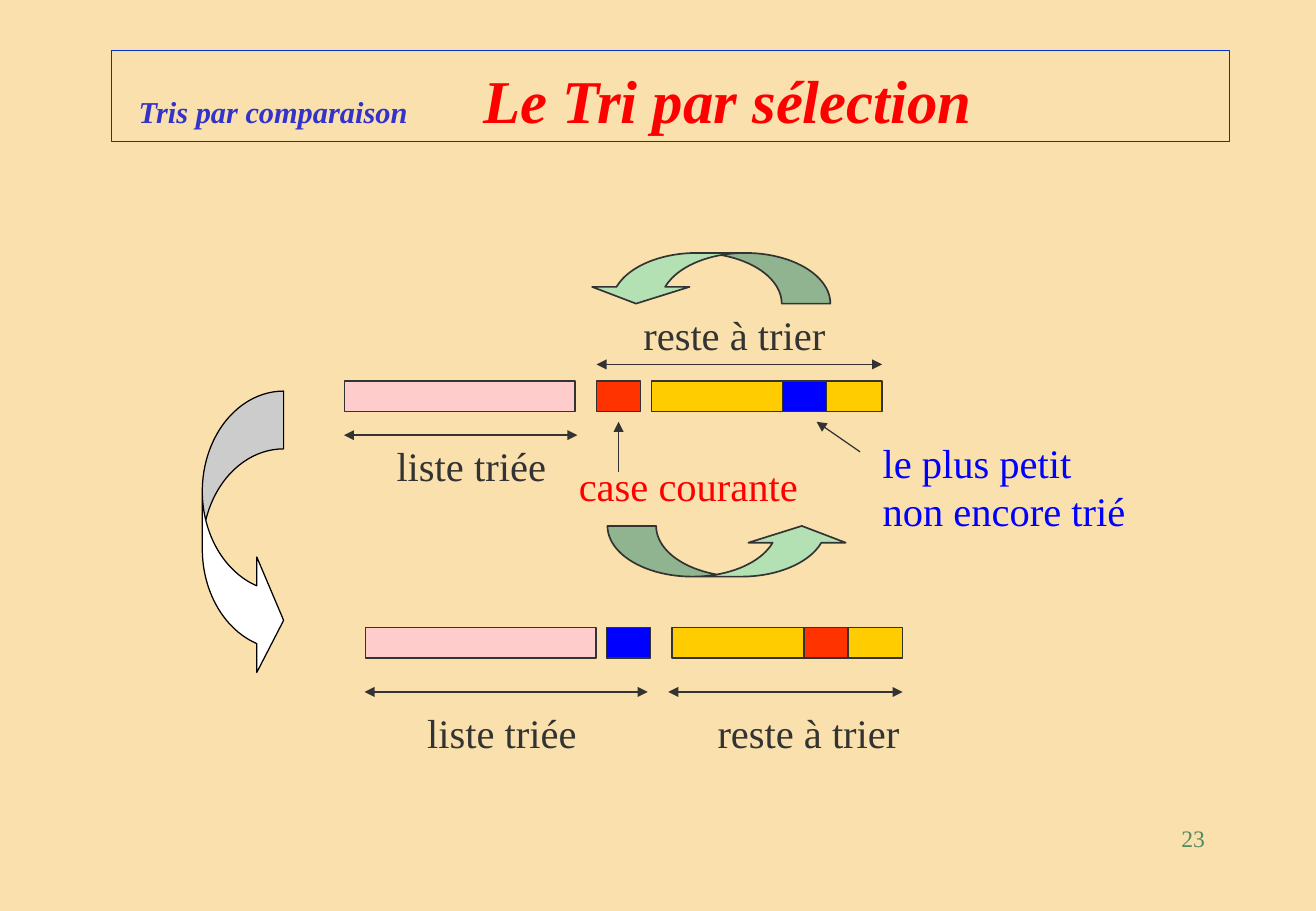
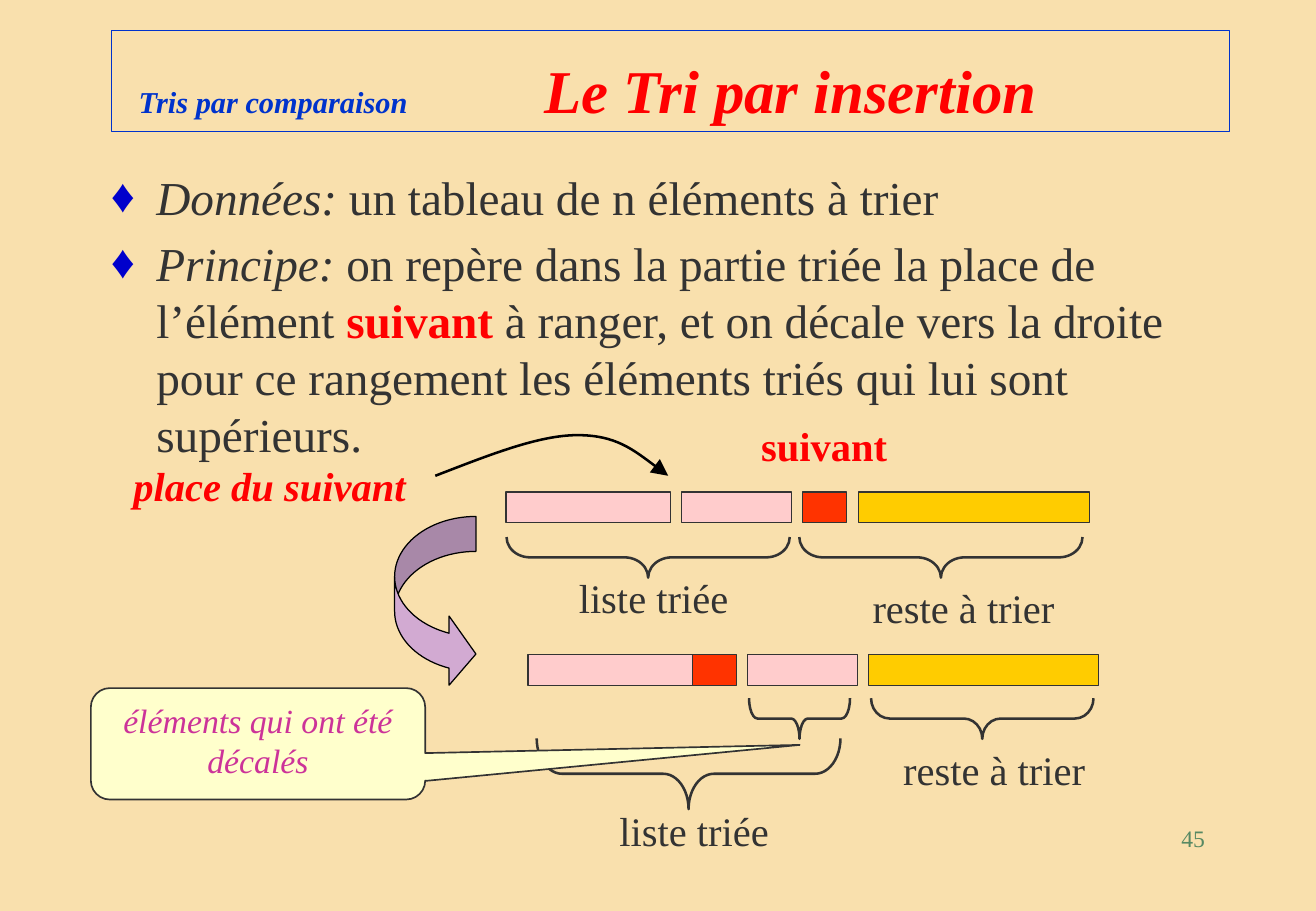
"""Two slides that explain selection sort and insertion sort."""
from lxml import etree
from pptx import Presentation
from pptx import util as u
from pptx.dml.color import RGBColor
from pptx.enum import shapes, text
from pptx.oxml import ns

FONT = "Times New Roman"
SAND = RGBColor(0xF9, 0xE0, 0xAD)
FRAME_BLUE = RGBColor(0x00, 0x33, 0xCC)
TOPIC_BLUE = RGBColor(0x33, 0x33, 0xCC)
BULLET_BLUE = RGBColor(0x00, 0x00, 0xCC)
BLUE = RGBColor(0x00, 0x00, 0xFF)
RED = RGBColor(0xFF, 0x00, 0x00)
ORANGE_RED = RGBColor(0xFF, 0x33, 0x00)
GOLD = RGBColor(0xFF, 0xCC, 0x00)
PINK = RGBColor(0xFF, 0xCC, 0xCC)
INK = RGBColor(0x33, 0x33, 0x33)
BLACK = RGBColor(0x00, 0x00, 0x00)
WHITE = RGBColor(0xFF, 0xFF, 0xFF)
GREEN = RGBColor(0xB3, 0xE1, 0xB3)
NUMBER_GREEN = RGBColor(0x57, 0x89, 0x63)
MAUVE = RGBColor(0xD2, 0xAA, 0xD2)
CREAM = RGBColor(0xFF, 0xFF, 0xCC)
MAGENTA = RGBColor(0xCC, 0x33, 0x99)

BAR_HEIGHT = 0.64
CELL, SHIFTED, SORTED_PART, LONG = 0.92, 2.3, 3.44, 4.82
SORTED_LABEL, REST_LABEL = "liste triée", "reste à trier"
LABEL_WIDTHS = {SORTED_LABEL: 3.8, REST_LABEL: 4.5}


def lengths(*values):
    """Turn centimetres into lengths."""
    return [u.Cm(value) for value in values]


def add_child(parent, tag, **attributes):
    """Append a DrawingML element and return it."""
    return etree.SubElement(parent, ns.qn(tag), attributes)


def style_run(run, size, colour, bold=False, italic=False):
    """Format one run."""
    run.font.name = FONT
    run.font.size = u.Pt(size)
    run.font.color.rgb = colour
    run.font.bold = bold
    run.font.italic = italic


def add_run(paragraph, content, size, colour, bold=False, italic=False):
    """Add a formatted run to a paragraph."""
    run = paragraph.add_run()
    run.text = content
    style_run(run, size, colour, bold, italic)


def style_shape(shape, fill, line, width):
    """Set fill and outline, and take the shadow away."""
    shape.shadow.inherit = False
    if fill is None:
        shape.fill.background()
    else:
        shape.fill.solid()
        shape.fill.fore_color.rgb = fill
    shape.line.color.rgb = line
    shape.line.width = u.Pt(width)


def add_preset(slide, kind, place, fill, line=INK, width=0.75, adjustments=()):
    """Add a preset shape at a place in centimetres."""
    shape = slide.shapes.add_shape(kind, *lengths(*place))
    style_shape(shape, fill, line, width)
    for index, value in enumerate(adjustments):
        shape.adjustments[index] = value
    return shape


def add_bars(slide, top, bars):
    """Draw one row of list parts given as left, width and fill."""
    for left, width, fill in bars:
        add_preset(slide, shapes.MSO_SHAPE.RECTANGLE, (left, top, width, BAR_HEIGHT), fill)


def add_label(slide, content, left, top, width=None, colour=INK, size=24,
              bold=False, italic=False, align=text.PP_ALIGN.LEFT):
    """Add a text box, one paragraph to a line."""
    box = slide.shapes.add_textbox(*lengths(left, top, width or LABEL_WIDTHS[content], 1.27))
    box.text_frame.word_wrap = False
    box.text_frame.text = content
    for paragraph in box.text_frame.paragraphs:
        paragraph.alignment = align
        for run in paragraph.runs:
            style_run(run, size, colour, bold, italic)


def add_line(slide, start, end, width=0.75, ends=()):
    """Add a straight line with arrowheads at the named ends."""
    line = slide.shapes.add_connector(shapes.MSO_CONNECTOR.STRAIGHT, *lengths(*start, *end))
    line.line.color.rgb = INK
    line.line.width = u.Pt(width)
    for end_name in ends:
        add_child(line.line._get_or_add_ln(), end_name, type="triangle")
    add_child(line._element.spPr, "a:effectLst")


def add_span(slide, left, right, y):
    """Add a horizontal arrow with two heads."""
    add_line(slide, (left, y), (right, y), 1, ("a:headEnd", "a:tailEnd"))


def add_brace(slide, left, top, span, depth=0.85):
    """Add a brace that opens upwards over a span."""
    place = (left + (span - depth) / 2, top - (span - depth) / 2, depth, span)
    brace = add_preset(slide, shapes.MSO_SHAPE.LEFT_BRACE, place, None, INK, 1.5,
                       (span / depth / 12, 0.5))
    brace.rotation = 270


def add_swap_arrow(slide, left, top, flip):
    """Add a green curved arrow flipped along one axis."""
    arrow = add_preset(slide, shapes.MSO_SHAPE.CURVED_DOWN_ARROW, (left, top, 5.08, 1.06),
                       GREEN, INK, 1, (0.96, 1.92, 0.33))
    arrow._element.spPr.xfrm.set(flip, "1")


def add_curve(slide, points):
    """Add an arrow along cubic curves, three points to a curve."""
    start, *others = [lengths(*point) for point in points]
    builder = slide.shapes.build_freeform(*start)
    builder.add_line_segments(others, close=False)
    curve = builder.convert_to_shape()
    style_shape(curve, None, BLACK, 1.5)
    add_child(curve.line._get_or_add_ln(), "a:tailEnd", type="triangle", w="lg", len="lg")
    segments = list(curve._element.iter(ns.qn("a:lnTo")))
    for first in range(0, len(segments), 3):
        bezier = add_child(segments[first].getparent(), "a:cubicBezTo")
        for segment in segments[first:first + 3]:
            bezier.append(segment[0])
            segment.getparent().remove(segment)


def add_titled_slide(presentation, title, number, top, height, tab, topic_colour):
    """Add a slide with its framed title and page number."""
    slide = presentation.slides.add_slide(presentation.slide_layouts[5])
    shape = slide.shapes.title
    shape.left, shape.top, shape.width, shape.height = lengths(2.33, top, 23.38, height)
    shape.line.color.rgb = FRAME_BLUE
    shape.line.width = u.Pt(0.75)
    frame = shape.text_frame
    frame.auto_size = text.MSO_AUTO_SIZE.NONE
    frame.vertical_anchor = text.MSO_ANCHOR.BOTTOM
    frame.margin_left = u.Cm(0.57)
    paragraph = frame.paragraphs[0]
    paragraph.alignment = text.PP_ALIGN.LEFT
    tabs = add_child(paragraph._p.get_or_add_pPr(), "a:tabLst")
    add_child(tabs, "a:tab", pos=str(u.Cm(tab)), algn="l")
    add_run(paragraph, "Tris par comparaison\t", 18, topic_colour, True, True)
    add_run(paragraph, title, 36, RED, True, True)
    add_label(slide, number, 19.7, 17.1, 5.74, NUMBER_GREEN, 14,
              align=text.PP_ALIGN.RIGHT)
    return slide


def add_bullets(slide, items):
    """Add the bulleted text; each item is a list of runs."""
    frame = slide.shapes.add_textbox(*lengths(2.07, 3.4, 23.4, 13.55)).text_frame
    frame.word_wrap = True
    for index, runs in enumerate(items):
        paragraph = frame.add_paragraph() if index else frame.paragraphs[0]
        properties = paragraph._p.get_or_add_pPr()
        properties.set("marL", str(u.Cm(0.95)))
        properties.set("indent", str(-u.Cm(0.95)))
        colour = add_child(properties, "a:buClr")
        add_child(colour, "a:srgbClr", val=str(BULLET_BLUE))
        add_child(properties, "a:buFont", typeface=FONT)
        add_child(properties, "a:buChar", char="♦")
        if index:
            paragraph.space_before = u.Pt(5.6)
        for content, colour, bold, italic in runs:
            add_run(paragraph, content, 28, colour, bold, italic)


def add_callout(slide):
    """Add the callout about the shifted elements."""
    callout = add_preset(slide, shapes.MSO_SHAPE.ROUNDED_RECTANGULAR_CALLOUT,
                         (1.9, 14.39, 6.99, 2.33), CREAM, INK, 1, (1.62, 0.01, 0.17))
    frame = callout.text_frame
    frame.word_wrap = True
    frame.vertical_anchor = text.MSO_ANCHOR.TOP
    frame.paragraphs[0].alignment = text.PP_ALIGN.CENTER
    add_run(frame.paragraphs[0], "éléments qui ont été décalés", 20, MAGENTA, italic=True)


def build_selection(presentation):
    """Build the selection sort slide."""
    slide = add_titled_slide(presentation, "Le Tri par sélection", "23",
                             1.06, 1.9, 7.2, TOPIC_BLUE)
    add_label(slide, "le plus petit\nnon encore trié", 18.2, 9.03, 5.8, BLUE)
    add_bars(slide, 7.97, [(7.2, LONG, PINK), (12.47, CELL, ORANGE_RED),
                           (13.62, LONG, GOLD), (16.36, CELL, BLUE)])
    add_label(slide, SORTED_LABEL, 8.04, 9.1)
    add_label(slide, "case courante", 11.85, 9.52, 5.4, RED)
    add_line(slide, (12.93, 9.88), (12.93, 8.82), ends=("a:tailEnd",))
    add_line(slide, (17.98, 9.45), (17.07, 8.82), ends=("a:tailEnd",))
    add_label(slide, REST_LABEL, 13.2, 6.35)
    add_preset(slide, shapes.MSO_SHAPE.CURVED_RIGHT_ARROW, (4.23, 8.18, 1.7, 6),
               WHITE, BLACK, adjustments=(0.71, 1.42, 0.33))
    add_span(slide, 12.47, 18.44, 7.62)
    add_span(slide, 7.19, 12.07, 9.1)
    add_bars(slide, 13.12, [(12.68, CELL, BLUE), (7.64, LONG, PINK),
                            (14.05, LONG, GOLD), (16.81, CELL, ORANGE_RED)])
    add_label(slide, SORTED_LABEL, 8.68, 14.69)
    add_label(slide, REST_LABEL, 14.75, 14.69)
    add_span(slide, 13.97, 18.87, 14.47)
    add_span(slide, 7.62, 13.54, 14.47)
    add_swap_arrow(slide, 12.28, 5.29, "flipH")
    add_swap_arrow(slide, 12.7, 11, "flipV")


def build_insertion(presentation):
    """Build the insertion sort slide."""
    slide = add_titled_slide(presentation, "Le Tri par insertion", "45",
                             0.64, 2.11, 8.48, FRAME_BLUE)
    add_bullets(slide, [
        [("Données:", INK, False, True),
         (" un tableau de n éléments à trier", INK, False, False)],
        [("Principe:", INK, False, True),
         (" on repère dans la partie triée la place de l’élément ", INK, False, False),
         ("suivant ", RED, True, False),
         ("à ranger, et on décale vers la droite pour ce rangement les éléments "
          "triés qui lui sont supérieurs.", INK, False, False)],
    ])
    add_bars(slide, 10.29, [(10.58, SORTED_PART, PINK), (14.25, SHIFTED, PINK),
                            (16.77, CELL, ORANGE_RED), (17.95, LONG, GOLD)])
    add_line(slide, (14.02, 10.29), (14.02, 10.93))
    add_bars(slide, 13.69, [(11.04, SORTED_PART, PINK), (14.48, CELL, ORANGE_RED),
                            (15.62, SHIFTED, PINK), (18.15, LONG, GOLD)])
    add_label(slide, SORTED_LABEL, 11.85, 11.86)
    add_label(slide, SORTED_LABEL, 12.7, 16.72)
    add_label(slide, REST_LABEL, 17.99, 12.07)
    add_label(slide, REST_LABEL, 18.63, 15.45)
    add_label(slide, "place du suivant", 2.54, 9.52, 6.5, RED, bold=True, italic=True)
    add_label(slide, "suivant", 15.66, 8.68, 3.4, RED, bold=True)
    add_curve(slide, [(9.1, 9.95), (10.19, 9.53), (11.25, 9.1), (12.07, 9.1),
                      (12.88, 9.1), (13.41, 9.53), (13.97, 9.95)])
    add_brace(slide, 16.71, 11.23, 5.92)
    add_brace(slide, 10.59, 11.23, 5.92)
    add_brace(slide, 18.21, 14.6, 4.65)
    add_brace(slide, 15.66, 14.6, 2.11)
    add_brace(slide, 11.22, 15.44, 6.35, 1.48)
    add_preset(slide, shapes.MSO_SHAPE.CURVED_RIGHT_ARROW, (8.25, 10.8, 1.7, 3.6),
               MAUVE, BLACK, adjustments=(0.43, 0.85, 0.33))
    add_callout(slide)


def main():
    """Build and save the presentation."""
    presentation = Presentation()
    presentation.slide_width, presentation.slide_height = lengths(27.51, 19.05)
    background = presentation.slide_master.background.fill
    background.solid()
    background.fore_color.rgb = SAND
    build_selection(presentation)
    build_insertion(presentation)
    presentation.save("out.pptx")


if __name__ == "__main__":
    main()
